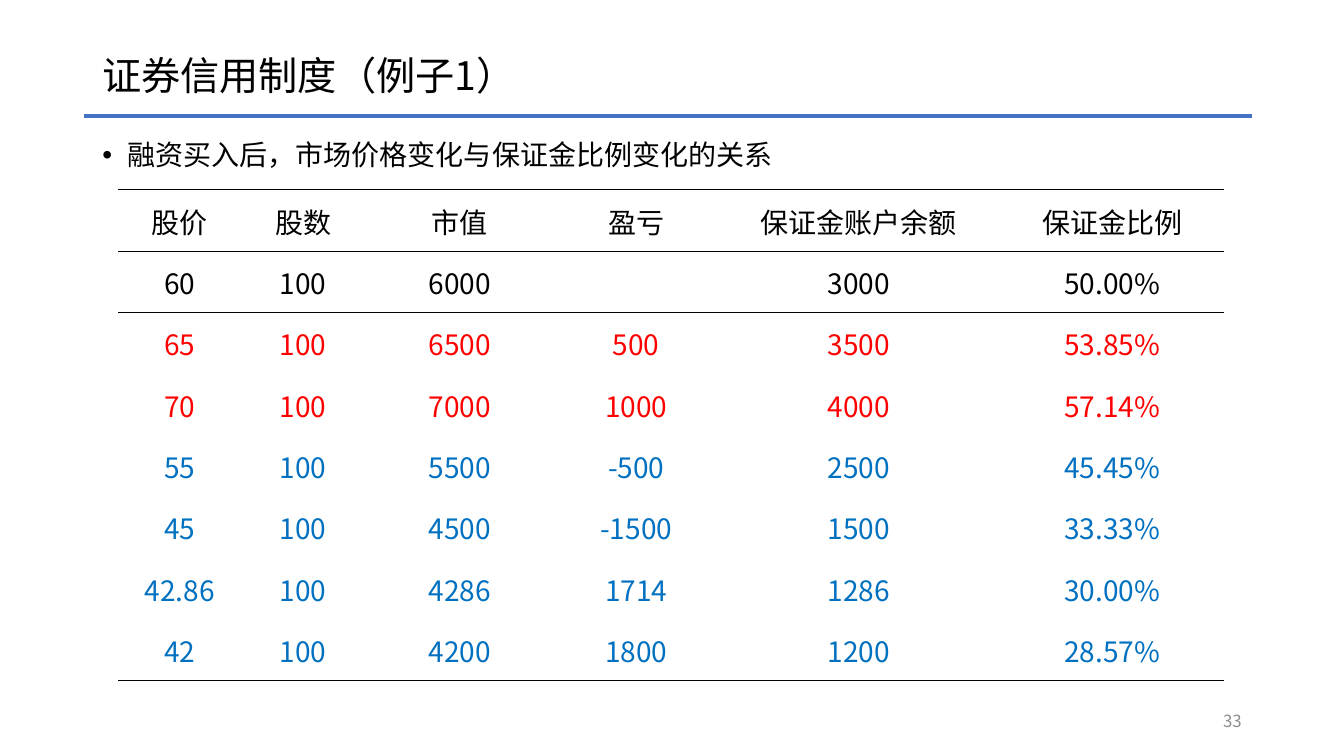
from lxml import etree
from pptx import Presentation
from pptx.dml.color import RGBColor
from pptx.enum import shapes, text
from pptx.oxml import ns
from pptx.util import Pt

BLACK = RGBColor(0x00, 0x00, 0x00)
RED = RGBColor(0xFF, 0x00, 0x00)
BLUE = RGBColor(0x00, 0x70, 0xC0)
RULE_BLUE = RGBColor(0x44, 0x72, 0xC4)
GREY = RGBColor(0x8C, 0x8C, 0x8C)
FONT = "Noto Sans CJK SC"
NO_STYLE = "{2D5ABB26-0587-4C30-8999-92F81FD0307C}"
BUY_PRICE = 60

HEADER = ["股价", "股数", "市值", "盈亏", "保证金账户余额", "保证金比例"]
ROWS = [
    ["60", "100", "6000", "", "3000", "50.00%"],
    ["65", "100", "6500", "500", "3500", "53.85%"],
    ["70", "100", "7000", "1000", "4000", "57.14%"],
    ["55", "100", "5500", "-500", "2500", "45.45%"],
    ["45", "100", "4500", "-1500", "1500", "33.33%"],
    ["42.86", "100", "4286", "1714", "1286", "30.00%"],
    ["42", "100", "4200", "1800", "1200", "28.57%"],
]
COL_WIDTHS = [88, 88, 136, 116, 202, 160]
ROW_HEIGHT = 43.85


def write(p, words, size, color, align=text.PP_ALIGN.LEFT):
    p.alignment = align
    r = p.add_run()
    r.text = words
    for name, value in {"size": Pt(size), "name": FONT}.items():
        setattr(r.font, name, value)
    r.font.color.rgb = color
    etree.SubElement(r.font._element, ns.qn("a:ea"), typeface=FONT)


def add_border(cell, side):
    """Draw a thin black line on one side ("T" or "B") of a table cell."""
    tcPr = cell._tc.get_or_add_tcPr()
    ln = etree.SubElement(tcPr, ns.qn(f"a:ln{side}"), w=str(Pt(0.5)))
    fill = etree.SubElement(ln, ns.qn("a:solidFill"))
    etree.SubElement(fill, ns.qn("a:srgbClr"), val=str(BLACK))


prs = Presentation()
prs.slide_width, prs.slide_height = Pt(960), Pt(540)
s = prs.slides.add_slide(prs.slide_layouts[6])

# Title, bullet and page number
boxes = [
    ((66, 28.8, 828, 53.3), text.MSO_ANCHOR.MIDDLE, "证券信用制度（例子1）", 28, BLACK, text.PP_ALIGN.LEFT),
    ((66, 95, 828, 36), text.MSO_ANCHOR.TOP, "融资买入后，市场价格变化与保证金比例变化的关系", 20, BLACK, text.PP_ALIGN.LEFT),
    ((678, 500.5, 216, 28.75), text.MSO_ANCHOR.MIDDLE, "33", 12, GREY, text.PP_ALIGN.RIGHT),
]
paragraphs = []
for place, anchor, words, size, color, align in boxes:
    tf = s.shapes.add_textbox(*map(Pt, place)).text_frame
    tf.word_wrap = True
    tf.vertical_anchor = anchor
    write(tf.paragraphs[0], words, size, color, align)
    paragraphs.append(tf.paragraphs[0])

title, bullet, page_number = paragraphs
title.line_spacing = 0.9
pPr = bullet._p.get_or_add_pPr()
pPr.set("marL", str(Pt(18)))
pPr.set("indent", str(Pt(-18)))
etree.SubElement(pPr, ns.qn("a:buFont"), typeface="Arial")
etree.SubElement(pPr, ns.qn("a:buChar"), char="•")

# Rule under the title
rule = s.shapes.add_connector(shapes.MSO_CONNECTOR.STRAIGHT, Pt(60), Pt(83), Pt(894), Pt(83))
rule.line.color.rgb = RULE_BLUE
rule.line.width = Pt(3)
etree.SubElement(rule._element.spPr, ns.qn("a:effectLst"))

# Margin table: red above the buying price, blue below it
grid = [HEADER] + ROWS
table = s.shapes.add_table(
    len(grid), len(HEADER), Pt(84.5), Pt(135.5), Pt(sum(COL_WIDTHS)), Pt(ROW_HEIGHT * len(grid))
).table
table.first_row = table.horz_banding = False
table._tbl.tblPr.find(ns.qn("a:tableStyleId")).text = NO_STYLE
for column, width in zip(table.columns, COL_WIDTHS):
    column.width = Pt(width)

CELL_FORMAT = {
    "margin_left": Pt(0.75),
    "margin_right": Pt(0.75),
    "margin_top": Pt(0.75),
    "margin_bottom": 0,
    "vertical_anchor": text.MSO_ANCHOR.MIDDLE,
}
borders = {0: "TB", 1: "T", len(grid) - 1: "B"}
for i, values in enumerate(grid):
    table.rows[i].height = Pt(ROW_HEIGHT)
    price = BUY_PRICE if i == 0 else float(values[0])
    color = RED if price > BUY_PRICE else BLUE if price < BUY_PRICE else BLACK
    for j, value in enumerate(values):
        cell = table.cell(i, j)
        for name, setting in CELL_FORMAT.items():
            setattr(cell, name, setting)
        for side in borders.get(i, ""):
            add_border(cell, side)
        cell.fill.background()
        if value:
            write(cell.text_frame.paragraphs[0], value, 20, color, text.PP_ALIGN.CENTER)

prs.save("out.pptx")
